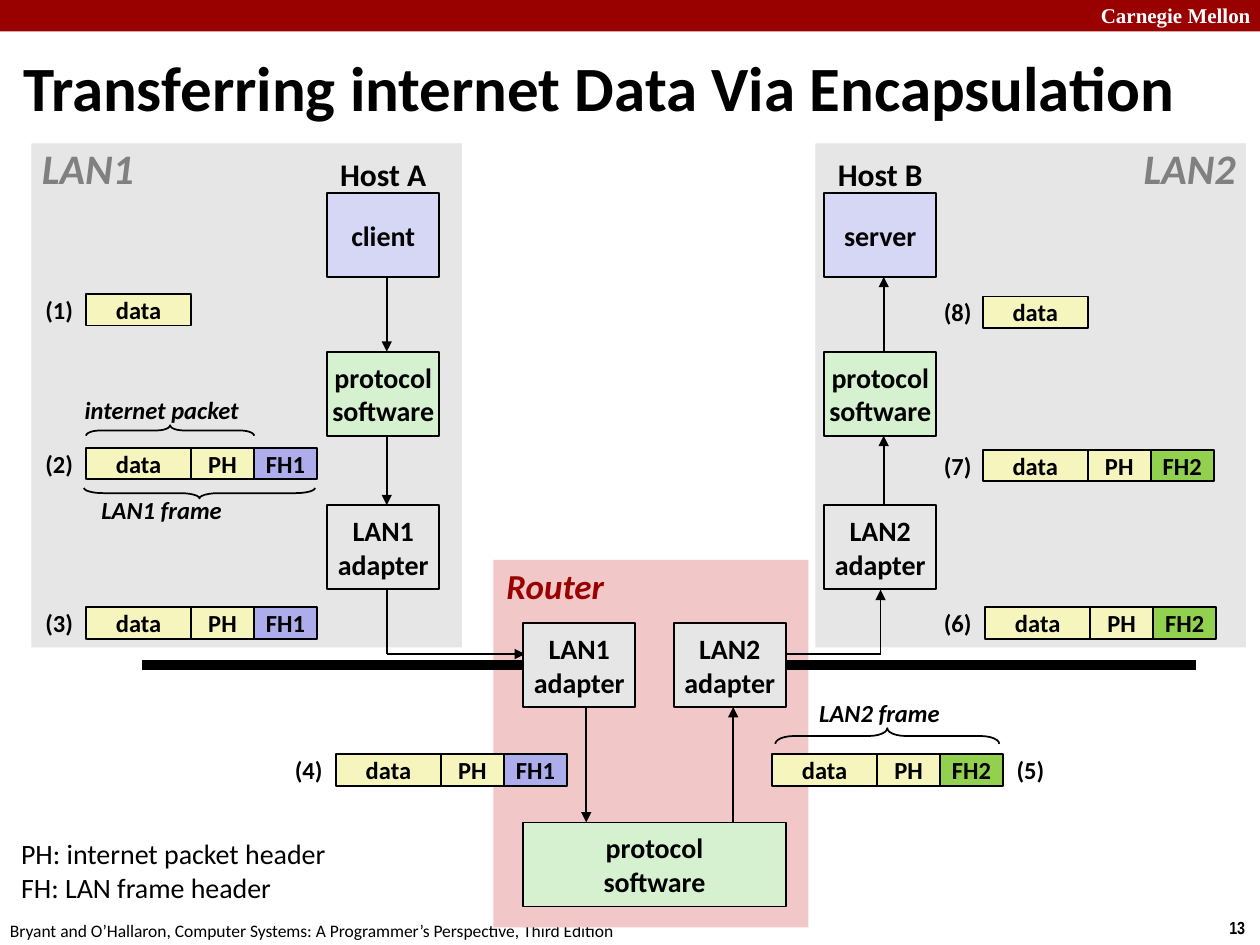
"""Build the slide on transferring internet data via encapsulation."""
from lxml import etree
from pptx import Presentation
from pptx.dml.color import RGBColor
from pptx.enum.shapes import MSO_CONNECTOR, MSO_SHAPE
from pptx.enum.text import MSO_ANCHOR, MSO_AUTO_SIZE, PP_ALIGN
from pptx.oxml.ns import qn
from pptx.util import Pt

RECTANGLE, LEFT_BRACE = MSO_SHAPE.RECTANGLE, MSO_SHAPE.LEFT_BRACE
STRAIGHT = MSO_CONNECTOR.STRAIGHT
LEFT, CENTER = PP_ALIGN.LEFT, PP_ALIGN.CENTER
TOP, MIDDLE = MSO_ANCHOR.TOP, MSO_ANCHOR.MIDDLE
NO_AUTOFIT = MSO_AUTO_SIZE.NONE

BLACK = RGBColor(0x00, 0x00, 0x00)
WHITE = RGBColor(0xFF, 0xFF, 0xFF)
CRIMSON = RGBColor(0x99, 0x00, 0x00)
GRAY = RGBColor(0x80, 0x80, 0x80)
PALE_GRAY = RGBColor(0xE6, 0xE6, 0xE6)
PINK = RGBColor(0xF1, 0xC7, 0xC7)
MINT = RGBColor(0xD5, 0xF1, 0xCF)
LAVENDER = RGBColor(0xD6, 0xD6, 0xF5)
YELLOW = RGBColor(0xF6, 0xF5, 0xBD)
VIOLET = RGBColor(0xAD, 0xAD, 0xEB)
GREEN = RGBColor(0x92, 0xD0, 0x50)

NODE_WIDTH, NODE_HEIGHT = 64, 48
CELL_HEIGHT = 18
DATA, PH = ("data", 60, YELLOW), ("PH", 36, YELLOW)
FH1, FH2 = ("FH1", 36, VIOLET), ("FH2", 36, GREEN)
LAN1_FRAME, LAN2_FRAME = (DATA, PH, FH1), (DATA, PH, FH2)


def write(frame, text, size=14, color=BLACK, bold=True, italic=False,
          font="Calibri", align=CENTER, anchor=MIDDLE, wrap=False):
    """Put text, one paragraph per line, in a text frame."""
    frame.text = text
    frame.auto_size = NO_AUTOFIT
    frame.word_wrap = wrap
    frame.vertical_anchor = anchor
    for paragraph in frame.paragraphs:
        paragraph.alignment = align
        face = paragraph.font
        face.name, face.size = font, Pt(size)
        face.bold, face.italic = bold, italic
        face.color.rgb = color


def add_label(slide, text, left, top, width, height, **style):
    """Add a text box."""
    label = slide.shapes.add_textbox(Pt(left), Pt(top), Pt(width), Pt(height))
    write(label.text_frame, text, **style)


def add_block(slide, left, top, width, height, fill, text="", **style):
    """Add a rectangle, outlined when it holds text."""
    block = slide.shapes.add_shape(
        RECTANGLE, Pt(left), Pt(top), Pt(width), Pt(height))
    block.shadow.inherit = False
    block.fill.solid()
    block.fill.fore_color.rgb = fill
    if text:
        block.line.color.rgb = BLACK
        block.line.width = Pt(1)
        write(block.text_frame, text, **style)
    else:
        block.line.fill.background()


def add_node(slide, left, top, fill, text, width=NODE_WIDTH):
    """Add a host or router component."""
    add_block(slide, left, top, width, NODE_HEIGHT, fill, text, size=16)


def add_line(slide, start, end, weight=1, arrow=True):
    """Add a black line that may end in an arrowhead."""
    line = slide.shapes.add_connector(
        STRAIGHT, Pt(start[0]), Pt(start[1]), Pt(end[0]), Pt(end[1]))
    line.line.color.rgb = BLACK
    line.line.width = Pt(weight)
    if arrow:
        outline = line.line._get_or_add_ln()
        etree.SubElement(outline, qn("a:tailEnd"), type="triangle")
    etree.SubElement(line._element.spPr, qn("a:effectLst"))


def add_brace(slide, center_x, center_y, span, depth, turn, bend):
    """Add a horizontal brace around a centre point."""
    brace = slide.shapes.add_shape(
        LEFT_BRACE, Pt(center_x - depth / 2), Pt(center_y - span / 2),
        Pt(depth), Pt(span))
    brace.rotation = turn
    brace.adjustments[0] = bend
    brace.shadow.inherit = False
    brace.fill.background()
    brace.line.color.rgb = BLACK
    brace.line.width = Pt(1)


def add_frame(slide, step, left, top, cells, step_left):
    """Add a numbered row of data and header cells."""
    for name, width, fill in cells:
        add_block(slide, left, top, width, CELL_HEIGHT, fill, name)
        left += width
    add_label(slide, f"({step})", step_left, top - 3, 31.6, 24)


def add_host(slide, left, name, program, adapter, sends):
    """Add a host stack and the arrows between its layers."""
    tops = (110.2, 201, 288.7)
    texts = (program, "protocol\nsoftware", f"{adapter}\nadapter")
    add_label(slide, name, left, 85, NODE_WIDTH, 28.8, size=18)
    for top, fill, text in zip(tops, (LAVENDER, MINT, PALE_GRAY), texts):
        add_node(slide, left, top, fill, text)
    middle = left + 34
    for upper, lower in zip(tops, tops[1:]):
        ends = [(middle, upper + NODE_HEIGHT), (middle, lower)]
        add_line(slide, *(ends if sends else ends[::-1]))


def add_page_furniture(slide):
    """Add the banner, page number, footer and title."""
    add_block(slide, 0, 0, 720, 18, CRIMSON)
    add_label(slide, "Carnegie Mellon", 622, -2, 103, 21.8, size=12,
              color=WHITE, font="Times New Roman", align=LEFT, anchor=TOP)
    add_label(slide, "13", 695.4, 520.6, 24.6, 19.4, size=10,
              font="Arial Narrow", align=LEFT, anchor=TOP)
    add_label(slide, "Bryant and O’Hallaron, Computer Systems: "
              "A Programmer’s Perspective, Third Edition", -1.4, 522, 366,
              19.4, size=10, bold=False, align=LEFT, anchor=TOP)
    title = slide.shapes.title
    title.left, title.top = Pt(6), Pt(27)
    title.width, title.height = Pt(696), Pt(45)
    write(title.text_frame, "Transferring internet Data Via Encapsulation",
          size=36, align=LEFT, wrap=True)


def add_networks(slide):
    """Add the LAN and router areas with their names and the cable."""
    for left in (18, 466):
        add_block(slide, left, 82, 246, 288, PALE_GRAY)
    add_block(slide, 282, 320, 180, 210, PINK)
    for name, left in (("LAN1", 16.4), ("LAN2", 646)):
        add_label(slide, name, left, 78, 67.6, 36, size=24, color=GRAY,
                  italic=True)
    add_label(slide, "Router", 282, 319, 70.6, 31.6, size=20, color=CRIMSON,
              italic=True)
    for start in (81.4, 449.3):
        add_line(slide, (start, 380), (start + 234, 380), 6, arrow=False)


def add_router(slide):
    """Add the router components and the links through them."""
    add_line(slide, (221, 337), (221, 373.8), arrow=False)
    add_line(slide, (221, 373.8), (300, 373.8))
    add_line(slide, (449, 373.8), (503.2, 373.8), arrow=False)
    add_line(slide, (503.2, 373.8), (503.2, 337))
    add_line(slide, (335, 404), (335, 470))
    add_line(slide, (419, 470), (419, 404))
    for left, name in ((299, "LAN1"), (385, "LAN2")):
        add_node(slide, left, 356, PALE_GRAY, f"{name}\nadapter")
    add_node(slide, 299, 470, MINT, "protocol\nsoftware", width=150)


def add_frames(slide):
    """Add the data at each of the eight steps, with brace labels."""
    for step, left, top, cells, step_left in (
            (1, 49.2, 168, (DATA,), 18),
            (2, 49.2, 255.8, LAN1_FRAME, 18),
            (3, 49.2, 347, LAN1_FRAME, 18),
            (4, 192, 431, LAN1_FRAME, 160.6),
            (5, 441.2, 431, LAN2_FRAME, 573),
            (6, 563, 347, LAN2_FRAME, 531.4),
            (7, 561.6, 257, LAN2_FRAME, 531.4),
            (8, 561.6, 169.4, (DATA,), 531.4)):
        add_frame(slide, step, left, top, cells, step_left)
    add_brace(slide, 97.2, 246, 96, 6, 90, 1.33)
    add_brace(slide, 114, 281.8, 132, 6, 270, 1.83)
    add_brace(slide, 507, 420.6, 128, 9, 90, 1.19)
    for text, left, top, width in (("internet packet", 41, 222, 103),
                                   ("LAN1 frame", 50.6, 279, 83.6),
                                   ("LAN2 frame", 460.8, 395.2, 83.6)):
        add_label(slide, text, left, top, width, 24.4, italic=True)


def main():
    """Build and save the slide."""
    deck = Presentation()
    deck.slide_width, deck.slide_height = Pt(720), Pt(540)
    slide = deck.slides.add_slide(deck.slide_layouts[5])
    add_page_furniture(slide)
    add_networks(slide)
    add_host(slide, 187, "Host A", "client", "LAN1", sends=True)
    add_host(slide, 471, "Host B", "server", "LAN2", sends=False)
    add_router(slide)
    add_frames(slide)
    add_label(slide, "PH: internet packet header\nFH: LAN frame header",
              5, 474.6, 191, 46, size=16, bold=False, align=LEFT, anchor=TOP)
    deck.save("out.pptx")


if __name__ == "__main__":
    main()
